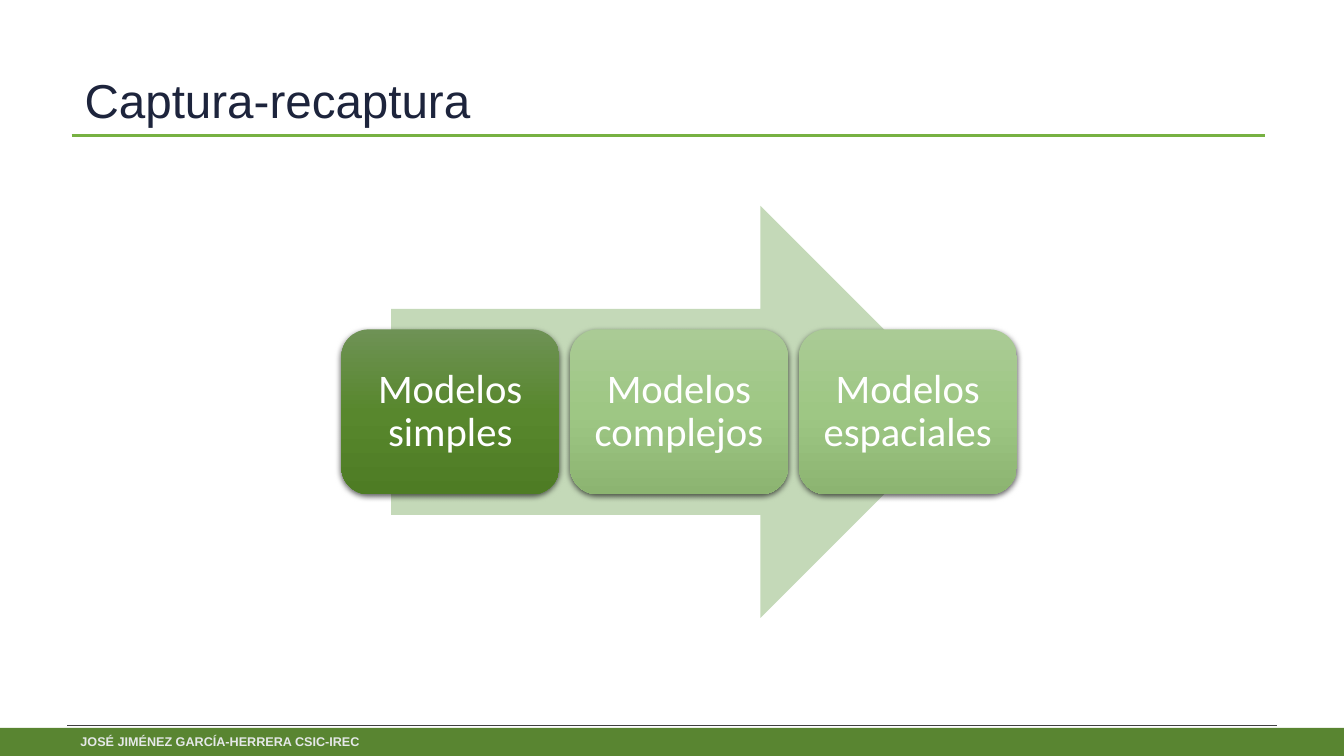
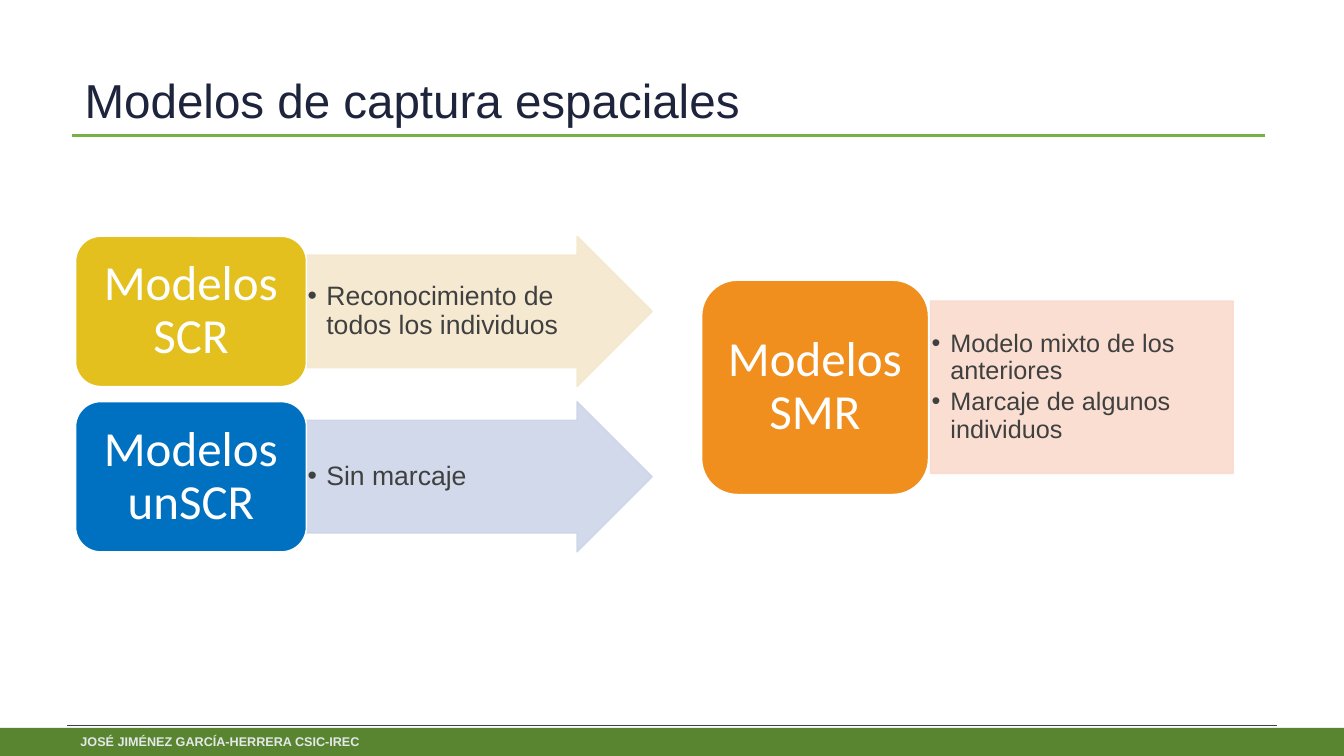
"""Build two slides on capture-recapture models with a shared green theme."""
import copy
from dataclasses import dataclass

import pptx
import pptx.dml.color
import pptx.enum.shapes
import pptx.enum.text
import pptx.oxml
import pptx.oxml.ns
import pptx.util

Pt = pptx.util.Pt
Shape = pptx.enum.shapes.MSO_SHAPE
Align = pptx.enum.text.PP_ALIGN
Anchor = pptx.enum.text.MSO_ANCHOR
qn = pptx.oxml.ns.qn


@dataclass(frozen=True)
class Theme:
    heading_font: str = "Arial"
    card_font: str = "Calibri"
    navy: str = "1D243C"
    band: str = "598531"
    rule: str = "77B142"
    hairline: str = "404040"
    body: str = "404040"
    white: str = "FFFFFF"
    footer: str = "E5E8E8"
    pale_green: str = "C4D9B8"
    dark_gradient: tuple = ("6E9255", "58872D", "4E7C24")
    light_gradient: tuple = ("AACB95", "9EC784", "8CB471")
    title_size: float = 34
    step_size: float = 29
    model_size: float = 35
    footer_size: float = 9


THEME = Theme()
FOOTER = "JOSÉ JIMÉNEZ GARCÍA-HERRERA CSIC-IREC"


def rgb(color):
    return pptx.dml.color.RGBColor.from_string(color)


def xml_child(parent, markup):
    tag, _, rest = markup.partition(" ")
    namespace = pptx.oxml.ns.nsdecls("a")
    element = pptx.oxml.parse_xml(f"<a:{tag} {namespace} {rest}/>")
    parent.append(element)
    return element


def style_font(paragraph, name, size, color, bold=False):
    font = paragraph.font
    font.name, font.size, font.bold = name, Pt(size), bold
    font.color.rgb = rgb(color)


def set_frame(frame, anchor, horizontal=7.2, vertical=3.6):
    frame.word_wrap = True
    frame.auto_size = pptx.enum.text.MSO_AUTO_SIZE.NONE
    frame.vertical_anchor = anchor
    frame.margin_left = frame.margin_right = Pt(horizontal)
    frame.margin_top = frame.margin_bottom = Pt(vertical)


def add_box(slide, kind, bounds, fill=None, line=None):
    shape = slide.shapes.add_shape(kind, *map(Pt, bounds))
    shape.shadow.inherit = False
    if fill:
        shape.fill.solid()
        shape.fill.fore_color.rgb = rgb(fill)
    if line:
        shape.line.color.rgb = rgb(line)
        shape.line.width = Pt(1)
    else:
        shape.line.fill.background()
    return shape


def add_rule(slide, left, right, top, color, width):
    rule = slide.shapes.add_connector(
        pptx.enum.shapes.MSO_CONNECTOR.STRAIGHT, Pt(left), Pt(top), Pt(right), Pt(top)
    )
    rule.line.color.rgb = rgb(color)
    rule.line.width = Pt(width)
    xml_child(rule.element.spPr, "effectLst")
    return rule


def set_gradient(shape, colors):
    shape.fill.gradient()
    shape.fill.gradient_angle = 270
    stop_list = shape.element.spPr.find(".//" + qn("a:gsLst"))
    stop_list.insert(1, copy.deepcopy(stop_list[0]))
    for index, (stop, color) in enumerate(zip(shape.fill.gradient_stops, colors)):
        stop.position = index / (len(colors) - 1)
        stop.color.rgb = rgb(color)


def add_shadow(shape):
    effects = shape.element.spPr.find(qn("a:effectLst"))
    shadow = xml_child(
        effects,
        f'outerShdw blurRad="{Pt(4.5)}" dist="{Pt(1.5)}" dir="5400000" rotWithShape="0"',
    )
    color = xml_child(shadow, 'srgbClr val="000000"')
    xml_child(color, 'alpha val="63000"')


def add_card_text(shape, text, size, horizontal, vertical):
    set_frame(shape.text_frame, Anchor.MIDDLE, horizontal, vertical)
    paragraph = shape.text_frame.paragraphs[0]
    paragraph.text = text
    paragraph.alignment = Align.CENTER
    paragraph.line_spacing = 0.9
    style_font(paragraph, THEME.card_font, size, THEME.white)


def add_step(slide, bounds, text, gradient):
    card = add_box(slide, Shape.ROUNDED_RECTANGLE, bounds)
    set_gradient(card, gradient)
    add_shadow(card)
    add_card_text(card, text, THEME.step_size, 8.6, 8.6)


def add_model(slide, bounds, text, color):
    card = add_box(slide, Shape.ROUNDED_RECTANGLE, bounds, color, THEME.white)
    add_card_text(card, text, THEME.model_size, 10.8, 5)


def add_details(slide, kind, bounds, color, items, size):
    panel = add_box(slide, kind, bounds, color, color)
    if kind == Shape.RIGHT_ARROW:
        panel.adjustments[0] = 0.75
    for tint in panel.element.spPr.iter(qn("a:srgbClr")):
        xml_child(tint, 'alpha val="90000"')
    frame = panel.text_frame
    set_frame(frame, Anchor.MIDDLE, 0.8, 0.8)
    for index, item in enumerate(items):
        paragraph = frame.add_paragraph() if index else frame.paragraphs[0]
        paragraph.text = item
        properties = paragraph._p.get_or_add_pPr()
        properties.set("marL", str(Pt(13.5)))
        properties.set("indent", str(-Pt(13.5)))
        xml_child(properties, 'buFont typeface="Arial"')
        xml_child(properties, 'buChar char="•"')
        paragraph.alignment = Align.LEFT
        paragraph.line_spacing = 0.9
        paragraph.space_after = Pt(size * 0.15)
        style_font(paragraph, THEME.heading_font, size, THEME.body)


def decorate_layout(layout, slide):
    """Move the band and the rules, drawn on a slide, to its layout."""
    title = layout.placeholders[0]
    title.left, title.top, title.width, title.height = map(Pt, (53.3, 41, 850, 54.7))
    for shape in (
        add_box(slide, Shape.RECTANGLE, (0, 520, 960, 20), THEME.band),
        add_rule(slide, 51.2, 903.6, 96.6, THEME.rule, 2.25),
        add_rule(slide, 48, 912, 518.2, THEME.hairline, 0.75),
    ):
        layout.shapes.element.append(shape.element)


def add_slide(presentation, layout, title):
    slide = presentation.slides.add_slide(layout)
    if len(presentation.slides) == 1:
        decorate_layout(layout, slide)
    frame = slide.shapes.title.text_frame
    set_frame(frame, Anchor.BOTTOM)
    paragraph = frame.paragraphs[0]
    paragraph.text = title
    paragraph.alignment = Align.LEFT
    paragraph.line_spacing = 0.9
    style_font(paragraph, THEME.heading_font, THEME.title_size, THEME.navy)

    footer = slide.shapes.add_textbox(*map(Pt, (50.4, 520, 619, 20))).text_frame
    set_frame(footer, Anchor.MIDDLE)
    paragraph = footer.paragraphs[0]
    paragraph.text = FOOTER
    style_font(paragraph, THEME.heading_font, THEME.footer_size, THEME.footer, bold=True)
    return slide


def build_progression(presentation, layout):
    slide = add_slide(presentation, layout, "Captura-recaptura")
    add_box(slide, Shape.RIGHT_ARROW, (279.4, 147, 411, 294.4), THEME.pale_green)
    steps = (
        ("Modelos simples", THEME.dark_gradient),
        ("Modelos complejos", THEME.light_gradient),
        ("Modelos espaciales", THEME.light_gradient),
    )
    for index, (text, gradient) in enumerate(steps):
        add_step(slide, (243.8 + index * 163.4, 235.3, 155.7, 117.8), text, gradient)


def build_spatial_models(presentation, layout):
    slide = add_slide(presentation, layout, "Modelos de captura espaciales")
    arrows = (
        ("Modelos SCR", "E3C01E", "F4E8CD", "Reconocimiento de todos los individuos"),
        ("Modelos unSCR", "0070C0", "CCD5E8", "Sin marcaje"),
    )
    for index, (text, color, tint, detail) in enumerate(arrows):
        top = 168.8 + index * 118.1
        add_details(slide, Shape.RIGHT_ARROW, (218.9, top, 247, 107.3), tint, [detail], 19)
        add_model(slide, (54, top, 164.9, 107.3), text, color)
    add_details(
        slide, Shape.RECTANGLE, (664.6, 215, 216.3, 123.2), "F9DBCD",
        ["Modelo mixto de los anteriores", "Marcaje de algunos individuos"], 18,
    )
    add_model(slide, (501.2, 200.2, 162, 153), "Modelos SMR", "F08F1E")


def main():
    presentation = pptx.Presentation()
    presentation.slide_width, presentation.slide_height = Pt(960), Pt(540)
    layout = presentation.slide_layouts.get_by_name("Title Only")
    build_progression(presentation, layout)
    build_spatial_models(presentation, layout)
    presentation.save("out.pptx")


if __name__ == "__main__":
    main()
